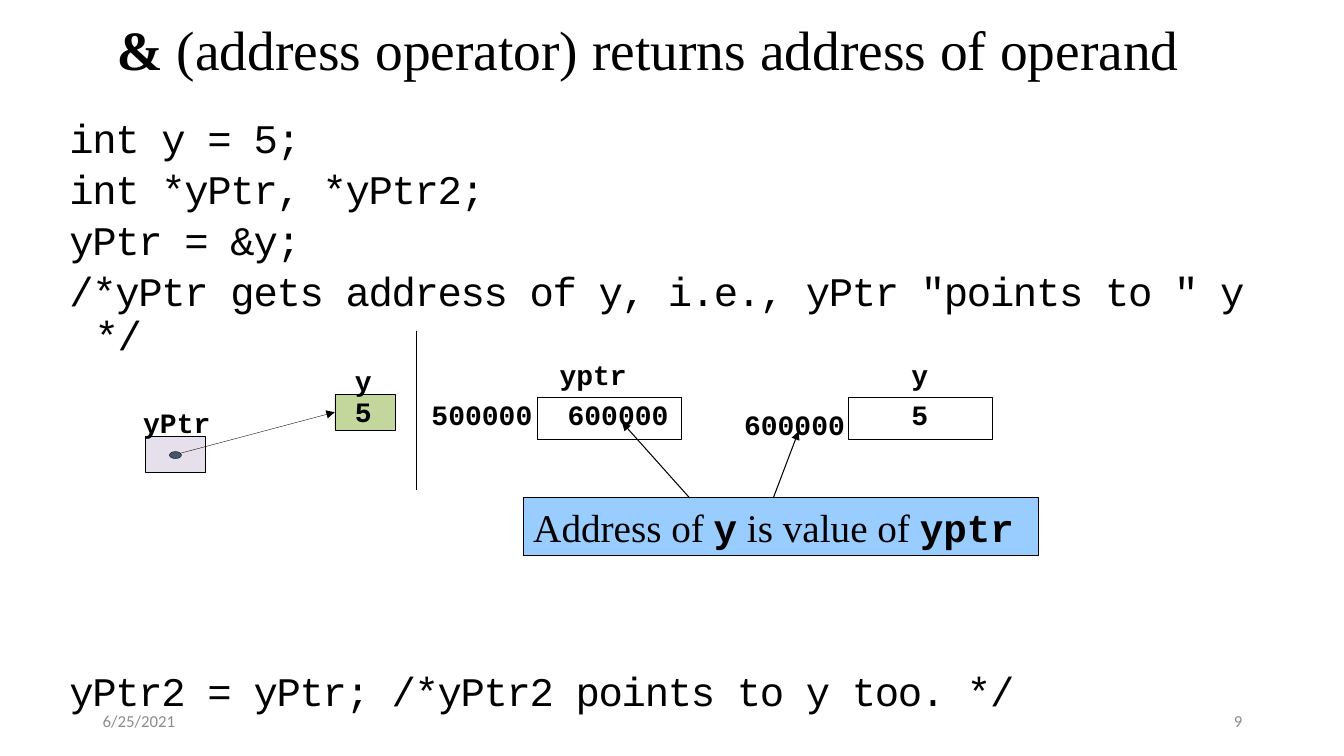
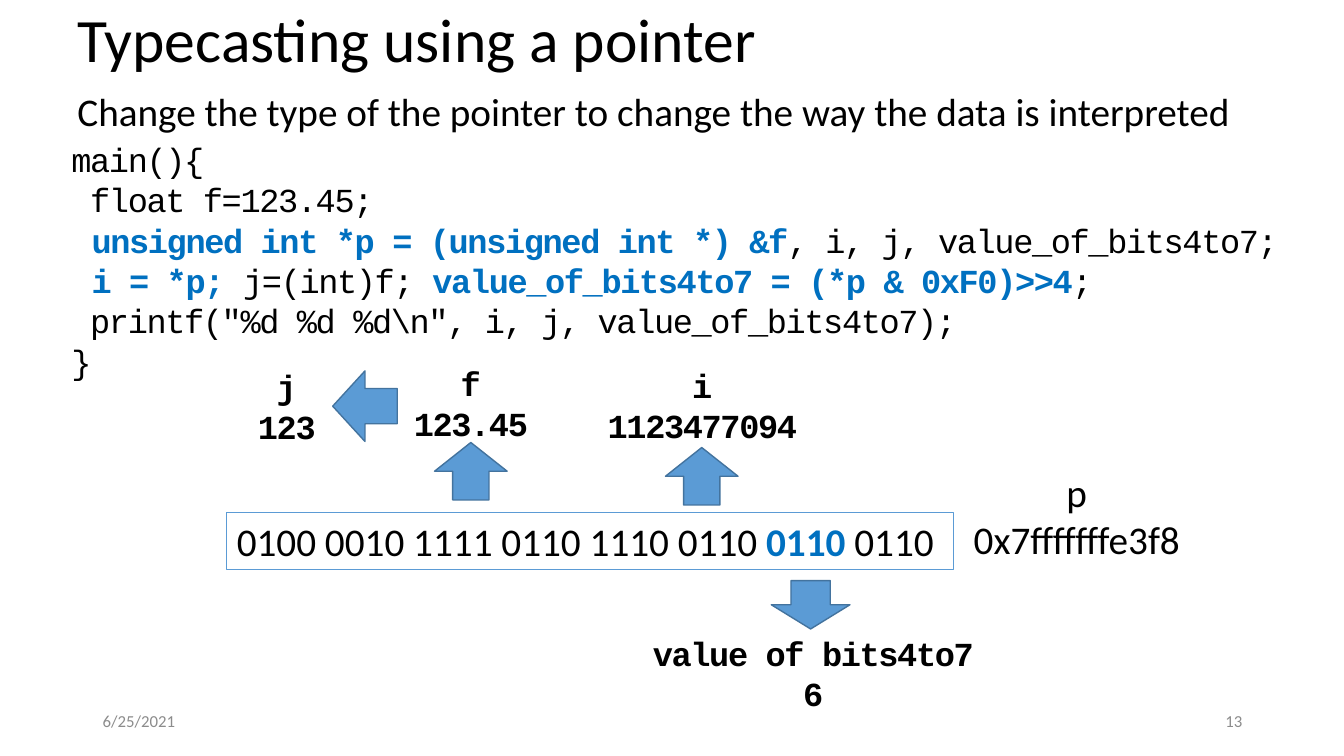
from pptx import Presentation
from pptx.dml.color import RGBColor
from pptx.enum.shapes import MSO_CONNECTOR, MSO_SHAPE
from pptx.enum.text import MSO_ANCHOR, PP_ALIGN
from pptx.oxml.ns import qn
from pptx.util import Inches, Pt
from lxml.etree import SubElement

BLACK = RGBColor(0x00, 0x00, 0x00)
GRAY = RGBColor(0x8C, 0x8C, 0x8C)
BLUE = RGBColor(0x00, 0x70, 0xC0)
ARROW_BLUE = RGBColor(0x5B, 0x9B, 0xD5)
ARROW_EDGE = RGBColor(0x43, 0x73, 0x9E)
SKY = RGBColor(0x99, 0xCC, 0xFF)
LILAC = RGBColor(0xE6, 0xE0, 0xEC)
GREEN = RGBColor(0xC3, 0xD6, 0x9B)
SLATE = RGBColor(0x44, 0x54, 0x6A)

SANS = "Calibri"
SERIF = "Times New Roman"
MONO = "Courier New"


def write(tf, paras, size=28, font=SANS, color=BLACK, bold=False, spc=None,
          align=PP_ALIGN.LEFT, anchor=MSO_ANCHOR.TOP, line=None, before=0,
          hang=None, inset=None):
    tf.word_wrap = True
    tf.vertical_anchor = anchor
    if inset is not None:
        tf.margin_left = tf.margin_right = Inches(inset)
        tf.margin_top = tf.margin_bottom = Inches(inset)
    for i, runs in enumerate(paras):
        p = tf.paragraphs[0] if i == 0 else tf.add_paragraph()
        p.alignment = align
        if line:
            p.line_spacing = line
        if before and i:
            p.space_before = Pt(before)
        if hang:
            pPr = p._p.get_or_add_pPr()
            pPr.set("marL", str(Inches(hang[0])))
            pPr.set("indent", str(Inches(hang[1])))
        for run in [(runs, {})] if isinstance(runs, str) else runs:
            text, own = run
            r = p.add_run()
            r.text = text
            r.font.size = Pt(size)
            r.font.name = own.get("font", font)
            r.font.bold = own.get("bold", bold)
            r.font.color.rgb = own.get("color", color)
            if spc:
                r._r.get_or_add_rPr().set("spc", str(spc * 100))


class Deck:
    code_style = dict(font=MONO, spc=-1)

    def __init__(self):
        self.prs = Presentation()
        self.prs.slide_width = Inches(13.33)
        self.prs.slide_height = Inches(7.5)
        self.s = None

    def slide(self, number):
        self.s = self.prs.slides.add_slide(self.prs.slide_layouts[6])
        for x, text, align in ((0.92, "6/25/2021", PP_ALIGN.LEFT),
                               (9.42, number, PP_ALIGN.RIGHT)):
            self.text((x, 6.95, 3, 0.4), [text], size=12, color=GRAY,
                      align=align, anchor=MSO_ANCHOR.MIDDLE)

    def text(self, box, paras, **fmt):
        sp = self.s.shapes.add_textbox(*map(Inches, box))
        write(sp.text_frame, paras, **fmt)

    def title(self, box, runs, **fmt):
        self.text(box, [runs], line=0.9, anchor=MSO_ANCHOR.MIDDLE, **fmt)

    def code(self, box, paras, **fmt):
        self.text(box, paras, **self.code_style, **fmt)

    def label(self, box, text, line=0.8):
        self.text(box, [text], size=20, font=MONO, bold=True, line=line, inset=0)

    def result(self, box, name, value):
        self.code(box, [name, value], size=24, bold=True, align=PP_ALIGN.CENTER)

    def shape(self, kind, box, fill=None, edge=BLACK, width=0.25):
        sp = self.s.shapes.add_shape(kind, *map(Inches, box))
        sp.shadow.inherit = False
        if fill is None:
            sp.fill.background()
        else:
            sp.fill.solid()
            sp.fill.fore_color.rgb = fill
        sp.line.color.rgb = edge
        sp.line.width = Pt(width)
        return sp

    def block_arrow(self, kind, box):
        self.shape(kind, box, ARROW_BLUE, ARROW_EDGE, 1)

    def line(self, start, end, width=0.75, arrow=False, to=None):
        cx = self.s.shapes.add_connector(
            MSO_CONNECTOR.STRAIGHT, *map(Inches, start + end))
        cx.line.color.rgb = BLACK
        cx.line.width = Pt(width)
        if arrow:
            SubElement(cx.line._get_or_add_ln(), qn("a:tailEnd"), type="triangle")
        SubElement(cx._element.spPr, qn("a:effectLst"))
        if to:
            cx.end_connect(*to)


def address_slide(d):
    d.slide("9")
    d.title((1.06, -0.03, 11.36, 1.1),
            [("&", {"bold": True}),
             (" (address operator) returns address of operand", {})],
            size=39.6, font=SERIF)
    body = dict(size=29, line=0.9, before=5, hang=(0.75, -0.25))
    d.code((0.09, 1.13, 12.8, 2.5),
           ["int y = 5;", "int *yPtr, *yPtr2;", "yPtr = &y;",
            '/*yPtr gets address of y, i.e., yPtr "points to " y */'], **body)
    d.code((0.09, 6.61, 12.8, 0.5),
           ["yPtr2 = yPtr; /*yPtr2 points to y too. */"], **body)

    d.shape(MSO_SHAPE.RECTANGLE, (1.44, 4.33, 0.6, 0.36), LILAC)
    y_box = d.shape(MSO_SHAPE.RECTANGLE, (3.32, 3.91, 0.6, 0.36), GREEN)
    d.line((1.74, 4.51), (3.32, 4.09), width=0.25, arrow=True, to=(y_box, 1))
    d.shape(MSO_SHAPE.OVAL, (1.68, 4.48, 0.12, 0.07), SLATE)
    d.label((1.42, 4.11, 0.8, 0.22), "yPtr", line=0.72)
    for top, text in ((3.69, "y"), (4, "5")):
        d.label((3.52, top, 0.2, 0.21), text, line=0.72)

    d.line((4.13, 3.28), (4.13, 4.86))
    for left in (5.33, 8.41):
        d.shape(MSO_SHAPE.RECTANGLE, (left, 3.94, 1.43, 0.42))
    for left, top, text in ((5.55, 3.61, "yptr"), (4.28, 4.01, "500000"),
                            (5.63, 4.01, "600000"), (9.04, 3.61, "y"),
                            (7.38, 4.11, "600000"), (9.04, 4.01, "5")):
        d.label((left, top, 1.04, 0.32), text)

    sp = d.shape(MSO_SHAPE.RECTANGLE, (5.19, 4.94, 5.11, 0.57), SKY, width=0.75)
    name = {"font": MONO, "bold": True}
    write(sp.text_frame,
          [[("Address of ", {}), ("y", name), (" is value of ", {}),
            ("yptr", name)]], font=SERIF)
    d.line((7.67, 4.94), (7.92, 4.28), arrow=True)
    d.line((6.84, 4.94), (6.17, 4.19), arrow=True)


def typecasting_slide(d):
    d.slide("13")
    d.title((0.67, 0.02, 11.5, 0.8), "Typecasting using a pointer", size=44)
    d.text((0.67, 0.87, 11.84, 0.71),
           ["Change the type of the pointer to change the way the data is "
            "interpreted"], line=0.9)
    key = {"color": BLUE, "bold": True}
    d.code((0.61, 1.33, 12.34, 2.52), [
        "main(){",
        " float f=123.45;",
        [(" ", {}), ("unsigned int *p = (unsigned int *) &f", key),
         (", i, j, value_of_bits4to7;", {})],
        [(" ", {}), ("i = *p; ", key), ("j=(int)f;", {}),
         (" value_of_bits4to7 = (*p & 0xF0)>>4", key), (";", {})],
        ' printf("%d %d %d\\n", i, j, value_of_bits4to7);',
        "}"], size=24)

    sp = d.shape(MSO_SHAPE.RECTANGLE, (2.25, 5.08, 7.21, 0.57),
                 edge=ARROW_BLUE, width=0.75)
    write(sp.text_frame,
          [[("0100 0010 1111 0110 1110 0110 ", {}), ("0110", key),
            (" 0110", {})]])
    d.text((9.28, 4.6, 2.8, 1.04), ["p", "0x7fffffffe3f8"],
           align=PP_ALIGN.CENTER)

    d.result((2.43, 3.58, 0.83, 0.91), "j", "123")
    d.result((3.97, 3.55, 1.4, 0.91), "f", "123.45")
    d.result((5.82, 3.57, 2.29, 0.91), "i", "1123477094")
    d.result((6.27, 6.23, 3.59, 0.91), "value of bits4to7", "6")

    d.block_arrow(MSO_SHAPE.UP_ARROW, (4.31, 4.39, 0.72, 0.57))
    d.block_arrow(MSO_SHAPE.UP_ARROW, (6.6, 4.44, 0.72, 0.57))
    d.block_arrow(MSO_SHAPE.LEFT_ARROW, (3.3, 3.68, 0.64, 0.7))
    d.block_arrow(MSO_SHAPE.DOWN_ARROW, (7.65, 5.76, 0.78, 0.48))


def main():
    d = Deck()
    address_slide(d)
    typecasting_slide(d)
    d.prs.save("out.pptx")


if __name__ == "__main__":
    main()
